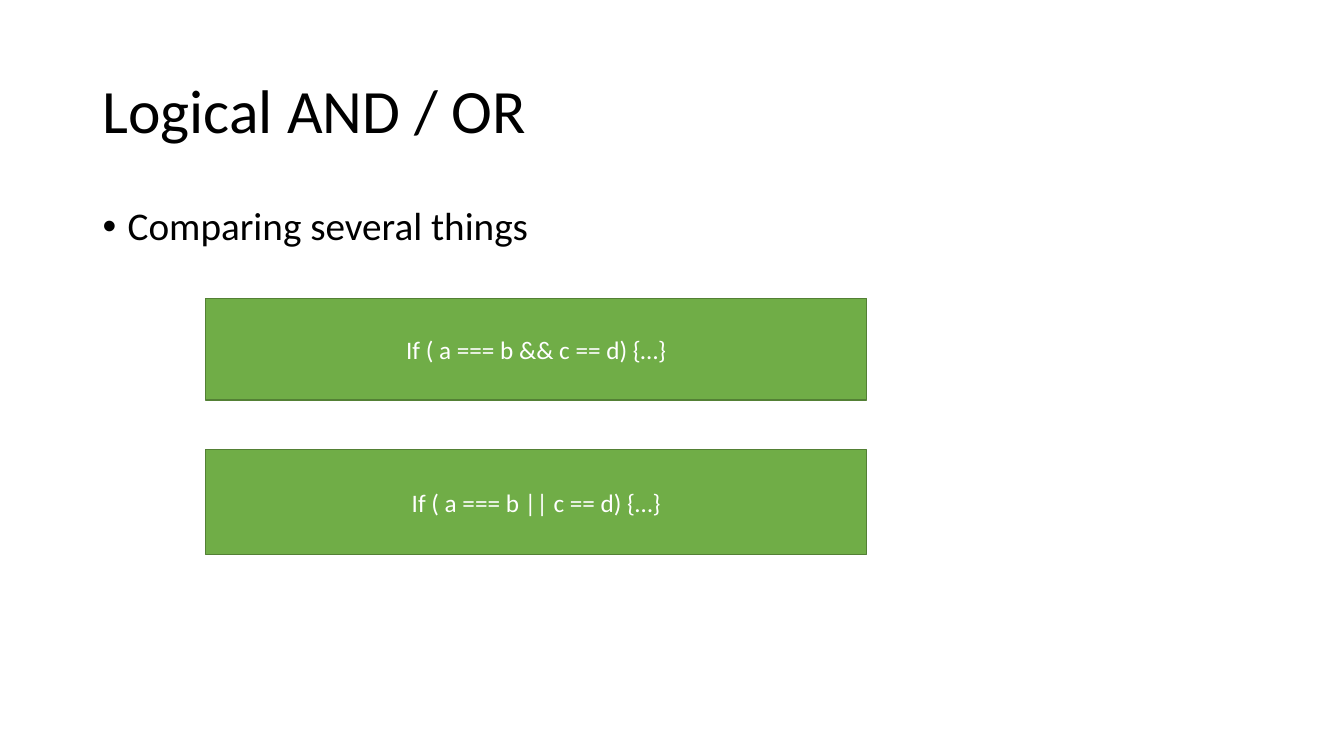
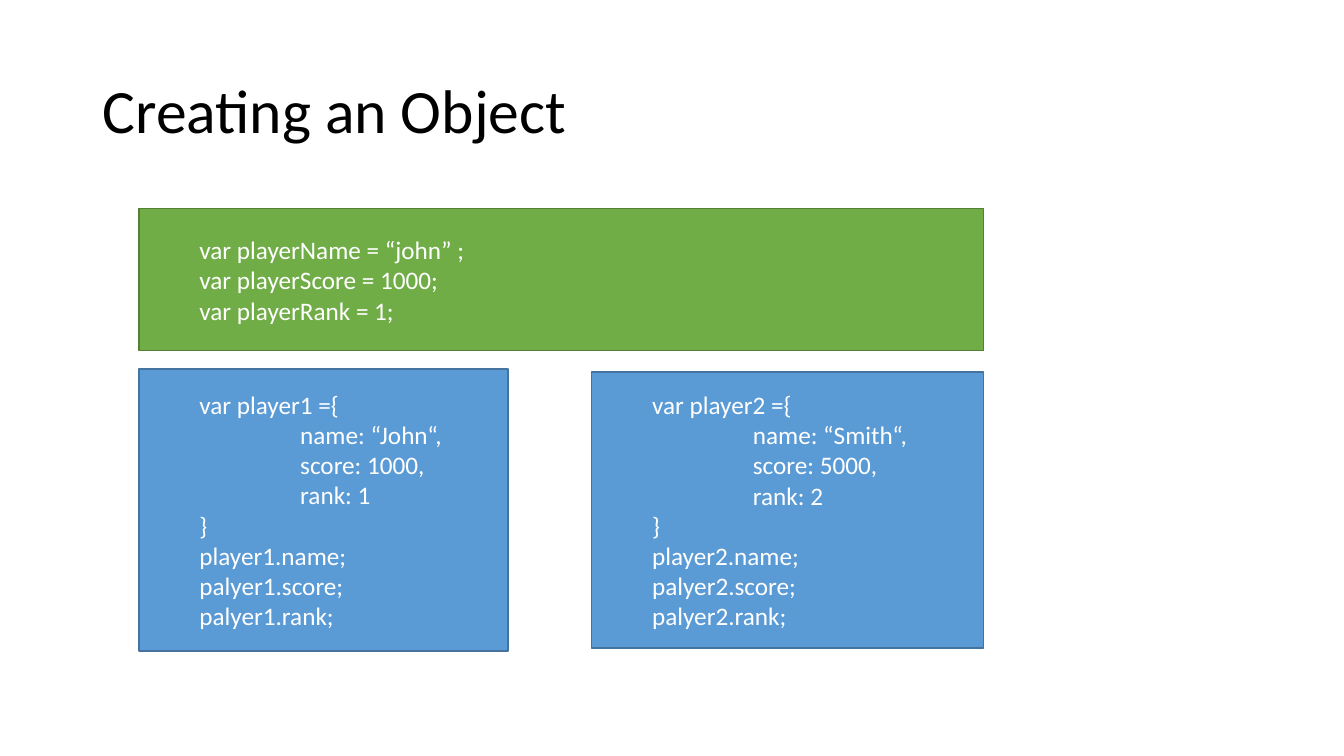
import dataclasses

import pptx
import pptx.dml.color
import pptx.enum.shapes
import pptx.enum.text
import pptx.util

# Shared style
FONT = "Calibri"
BLACK, WHITE = "000000", "FFFFFF"
GREEN, GREEN_EDGE = "70AD47", "538035"
BLUE, BLUE_EDGE = "5B9BD5", "43739E"
SLIDE_WIDTH, SLIDE_HEIGHT = pptx.util.Inches(13.333), pptx.util.Inches(7.5)
LEFT, CENTER = pptx.enum.text.PP_ALIGN.LEFT, pptx.enum.text.PP_ALIGN.CENTER
TOP, MIDDLE = pptx.enum.text.MSO_ANCHOR.TOP, pptx.enum.text.MSO_ANCHOR.MIDDLE
TITLE_AND_CONTENT, TITLE_ONLY = 1, 5


@dataclasses.dataclass(frozen=True)
class Area:
    """A rectangle in percent of the slide's width and height."""
    left: float
    top: float
    width: float
    height: float

    def emu(self) -> tuple[int, int, int, int]:
        return (int(SLIDE_WIDTH * self.left / 100), int(SLIDE_HEIGHT * self.top / 100),
                int(SLIDE_WIDTH * self.width / 100), int(SLIDE_HEIGHT * self.height / 100))


@dataclasses.dataclass(frozen=True)
class Line:
    """A line of text, with its indent in inches."""
    text: str
    indent: float = 0


@dataclasses.dataclass(frozen=True)
class CodeBox:
    area: Area
    lines: list[Line]
    fill: str = GREEN
    edge: str = GREEN_EDGE
    align: pptx.enum.text.PP_ALIGN = LEFT


TITLE_AREA = Area(6.88, 5.33, 86.25, 19.33)
BODY_AREA = Area(6.88, 26.67, 86.25, 63.45)


def color(hex_value: str) -> pptx.dml.color.RGBColor:
    return pptx.dml.color.RGBColor.from_string(hex_value)


def write(frame, lines: list[Line], *, size: float, ink: str, align=LEFT, anchor=MIDDLE,
          spacing: float = 1, before: float = 0, hanging: float = 0) -> None:
    frame.word_wrap = True
    frame.auto_size = pptx.enum.text.MSO_AUTO_SIZE.NONE
    frame.vertical_anchor = anchor
    for index, line in enumerate(lines):
        paragraph = frame.add_paragraph() if index else frame.paragraphs[0]
        paragraph.alignment = align
        paragraph.line_spacing = spacing
        paragraph.space_before = pptx.util.Pt(before)
        properties = paragraph._p.get_or_add_pPr()
        properties.set("marL", str(pptx.util.Inches(line.indent)))
        properties.set("indent", str(pptx.util.Inches(-hanging)))
        run = paragraph.add_run()
        run.text = line.text
        run.font.name = FONT
        run.font.size = pptx.util.Pt(size)
        run.font.color.rgb = color(ink)


def place(shape, area: Area) -> None:
    shape.left, shape.top, shape.width, shape.height = area.emu()


def add_titled_slide(deck, layout: int, title: str):
    slide = deck.slides.add_slide(deck.slide_layouts[layout])
    place(slide.shapes.title, TITLE_AREA)
    write(slide.shapes.title.text_frame, [Line(title)], size=44, ink=BLACK, spacing=0.9)
    return slide


def add_code_box(slide, box: CodeBox) -> None:
    shape = slide.shapes.add_shape(pptx.enum.shapes.MSO_SHAPE.RECTANGLE, *box.area.emu())
    shape.shadow.inherit = False
    shape.fill.solid()
    shape.fill.fore_color.rgb = color(box.fill)
    shape.line.color.rgb = color(box.edge)
    shape.line.width = pptx.util.Pt(1)
    write(shape.text_frame, box.lines, size=18, ink=WHITE, align=box.align)


def code(*texts: str, indent: float = 0.5) -> list[Line]:
    return [Line(text, indent) for text in texts]


def player_box(area: Area, number: int, name: str, score: int) -> CodeBox:
    lines = (code(f"var player{number} ={{")
             + code(f"name: “{name}“,", f"score: {score},", f"rank: {number}", indent=1.5)
             + code("}", f"player{number}.name;", f"palyer{number}.score;",
                    f"palyer{number}.rank;"))
    return CodeBox(area, lines, BLUE, BLUE_EDGE)


# Slide 1: logical operators
def add_logic_slide(deck) -> None:
    slide = add_titled_slide(deck, TITLE_AND_CONTENT, "Logical AND / OR")
    body = slide.placeholders[1]
    place(body, BODY_AREA)
    write(body.text_frame, [Line("Comparing several things", 0.25)], size=28, ink=BLACK,
          anchor=TOP, spacing=0.9, before=10, hanging=0.25)
    for operator, top, height in (("&&", 39.47, 13.47), ("||", 59.47, 13.87)):
        condition = Line(f"If ( a === b {operator} c == d) {{…}}")
        add_code_box(slide, CodeBox(Area(15.3, top, 49.2, height), [condition], align=CENTER))


# Slide 2: variables and objects
def add_object_slide(deck) -> None:
    slide = add_titled_slide(deck, TITLE_ONLY, "Creating an Object")
    variables = code("var playerName = “john” ;", "var playerScore = 1000;",
                     "var playerRank = 1;")
    for box in (CodeBox(Area(10.35, 27.6, 62.85, 18.8), variables),
                player_box(Area(10.35, 48.8, 27.45, 37.33), 1, "John", 1000),
                player_box(Area(44.03, 49.2, 29.17, 36.53), 2, "Smith", 5000)):
        add_code_box(slide, box)


def main() -> None:
    deck = pptx.Presentation()
    deck.slide_width, deck.slide_height = SLIDE_WIDTH, SLIDE_HEIGHT
    add_logic_slide(deck)
    add_object_slide(deck)
    deck.save("out.pptx")


if __name__ == "__main__":
    main()
